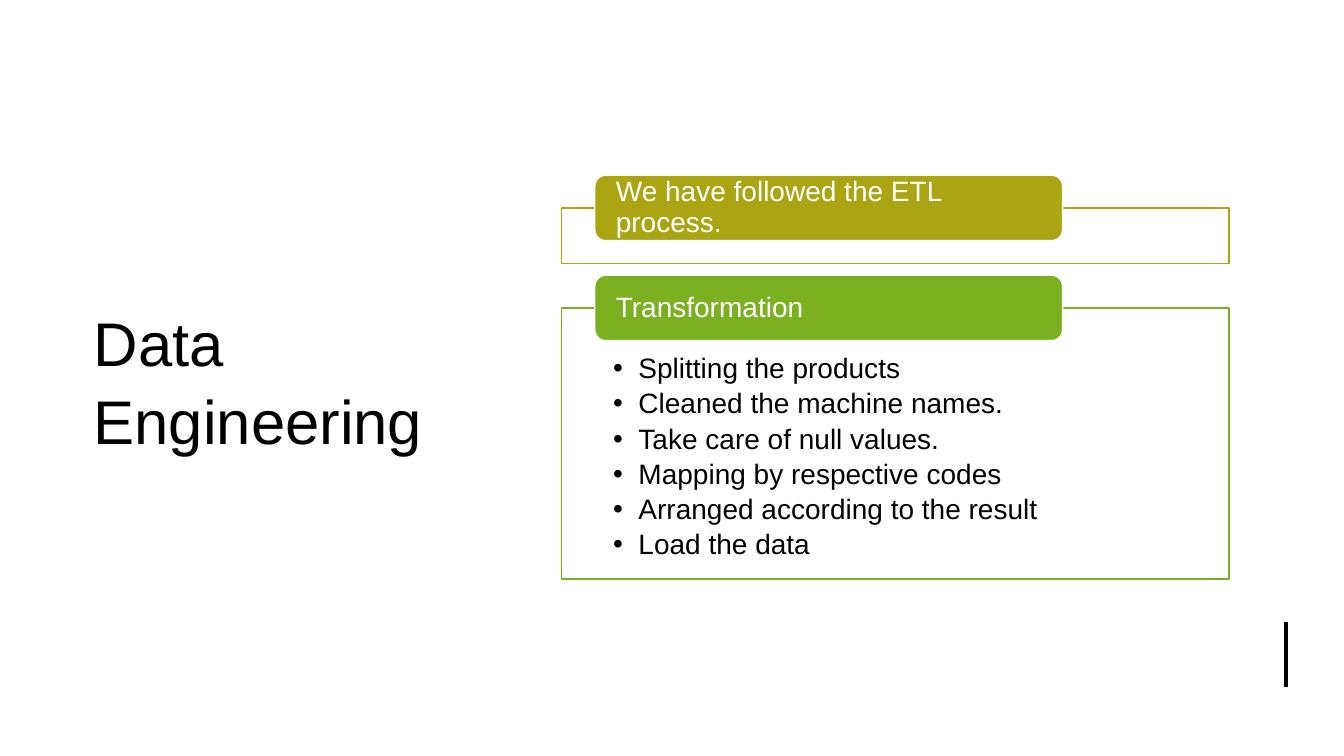
from dataclasses import dataclass

from lxml.etree import SubElement
from pptx import Presentation
from pptx.dml.color import RGBColor
from pptx.enum.shapes import MSO_CONNECTOR, MSO_SHAPE
from pptx.enum.text import MSO_ANCHOR, MSO_AUTO_SIZE, PP_ALIGN
from pptx.oxml.ns import qn
from pptx.util import Cm, Pt


@dataclass(frozen=True)
class Theme:
    font: str = "Arial"
    black: str = "000000"
    white: str = "FFFFFF"
    olive: str = "ABA413"
    green: str = "7BB120"
    title_size: int = 44
    text_size: int = 20


@dataclass(frozen=True)
class Section:
    heading: str
    top: float
    height: float
    color: str


THEME = Theme()
FRAME_LEFT, FRAME_WIDTH = 14.15, 16.82
PILL_LEFT, PILL_WIDTH, PILL_HEIGHT = 14.99, 11.79, 1.65

SECTIONS = [
    Section("We have followed the ETL process.", 5.24, 1.4, THEME.olive),
    Section("Transformation", 7.76, 6.83, THEME.green),
]
STEPS = [
    "Splitting the products",
    "Cleaned the machine names.",
    "Take care of null values.",
    "Mapping by respective codes",
    "Arranged according to the result",
    "Load the data",
]


def place(shape, left: float, top: float, width: float, height: float) -> None:
    shape.left, shape.top = Cm(left), Cm(top)
    shape.width, shape.height = Cm(width), Cm(height)


def write(shape, lines: list[str], *, size: int = THEME.text_size,
          color: str = THEME.black, anchor=MSO_ANCHOR.MIDDLE,
          margins: tuple = (0, 0, 0, 0), spacing: float = 0.9,
          after: float = 0, bullet: bool = False) -> None:
    tf = shape.text_frame
    tf.word_wrap, tf.auto_size = True, MSO_AUTO_SIZE.NONE
    tf.vertical_anchor = anchor
    tf.margin_left, tf.margin_top, tf.margin_right, tf.margin_bottom = map(Cm, margins)
    for i, line in enumerate(lines):
        p = tf.add_paragraph() if i else tf.paragraphs[0]
        p.alignment, p.line_spacing = PP_ALIGN.LEFT, spacing
        p.space_before, p.space_after = Pt(0), Pt(after)
        r = p.add_run()
        r.text = line
        r.font.name, r.font.size = THEME.font, Pt(size)
        r.font.color.rgb = RGBColor.from_string(color)
        if bullet:
            pPr = p._p.get_or_add_pPr()
            pPr.set("marL", str(Cm(0.64)))
            pPr.set("indent", str(-Cm(0.64)))
            SubElement(pPr, qn("a:buChar"), char="•")


def add_box(s, kind, left: float, top: float, width: float, height: float,
            line: str, fill: str | None = None):
    sp = s.shapes.add_shape(kind, Cm(left), Cm(top), Cm(width), Cm(height))
    sp.shadow.inherit = False
    if fill:
        sp.fill.solid()
        sp.fill.fore_color.rgb = RGBColor.from_string(fill)
    else:
        sp.fill.background()
    sp.line.color.rgb = RGBColor.from_string(line)
    sp.line.width = Pt(1)
    return sp


def add_section(s, section: Section) -> None:
    add_box(s, MSO_SHAPE.RECTANGLE, FRAME_LEFT, section.top,
            FRAME_WIDTH, section.height, section.color)
    # The heading pill straddles the top edge of its frame
    pill = add_box(s, MSO_SHAPE.ROUNDED_RECTANGLE, PILL_LEFT,
                   section.top - PILL_HEIGHT / 2, PILL_WIDTH, PILL_HEIGHT,
                   THEME.white, section.color)
    write(pill, [section.heading], color=THEME.white, margins=(0.45, 0, 0.45, 0))


def main() -> None:
    prs = Presentation()
    prs.slide_width, prs.slide_height = Cm(33.87), Cm(19.05)
    s = prs.slides.add_slide(prs.slide_layouts[1])

    # Title
    title = s.shapes.title
    place(title, 2.11, 2.39, 9.58, 14.33)
    write(title, ["Data Engineering"], size=THEME.title_size,
          margins=(0.25, 0.13, 0.25, 0.13), spacing=1.05)

    # Framed sections
    for section in SECTIONS:
        add_section(s, section)

    # Transformation steps
    frame = SECTIONS[-1]
    body = s.placeholders[1]
    place(body, FRAME_LEFT, frame.top, FRAME_WIDTH, frame.height)
    write(body, STEPS, anchor=MSO_ANCHOR.TOP, margins=(1.3, 1.17, 1.3, 0.41),
          after=3.6, bullet=True)

    # Accent bar
    bar = s.shapes.add_connector(MSO_CONNECTOR.STRAIGHT, Cm(32.41), Cm(15.67),
                                 Cm(32.41), Cm(17.32))
    bar.line.color.rgb = RGBColor.from_string(THEME.black)
    bar.line.width = Pt(3)
    SubElement(bar._element.spPr, qn("a:effectLst"))

    prs.save("out.pptx")


if __name__ == "__main__":
    main()
